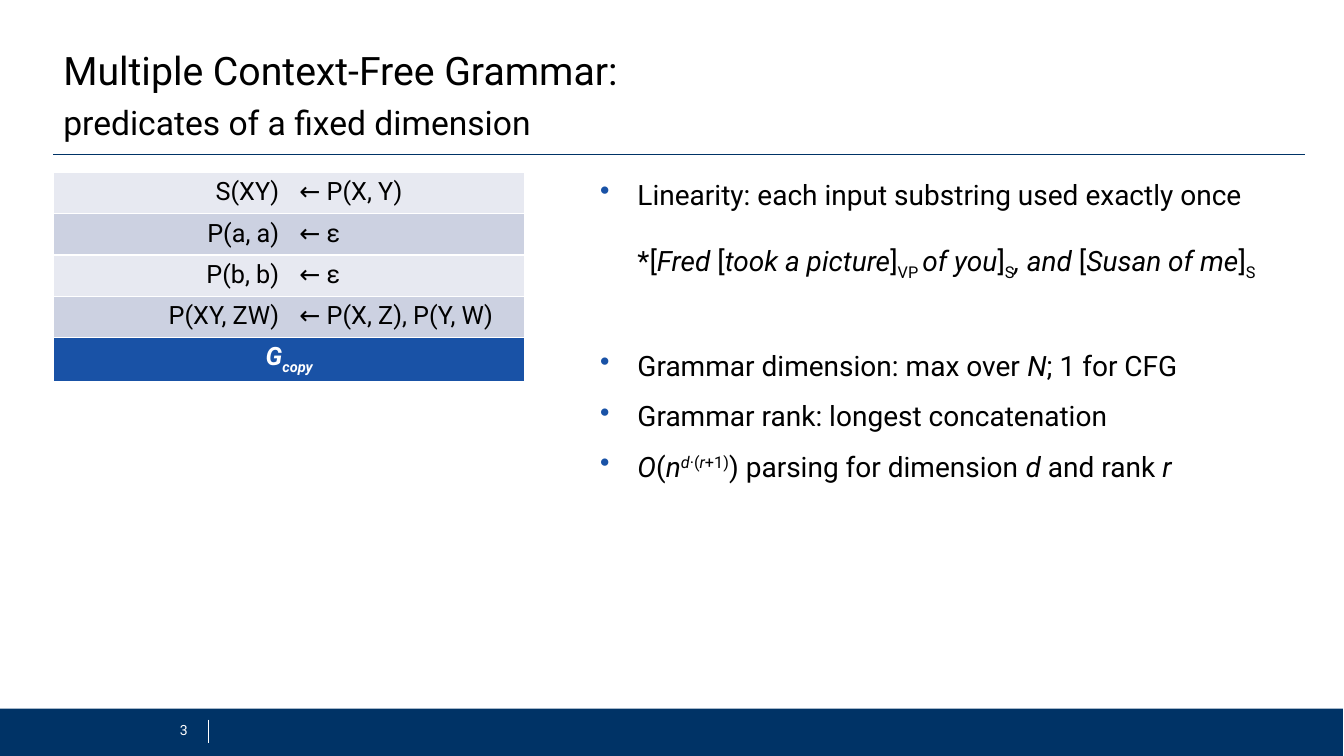
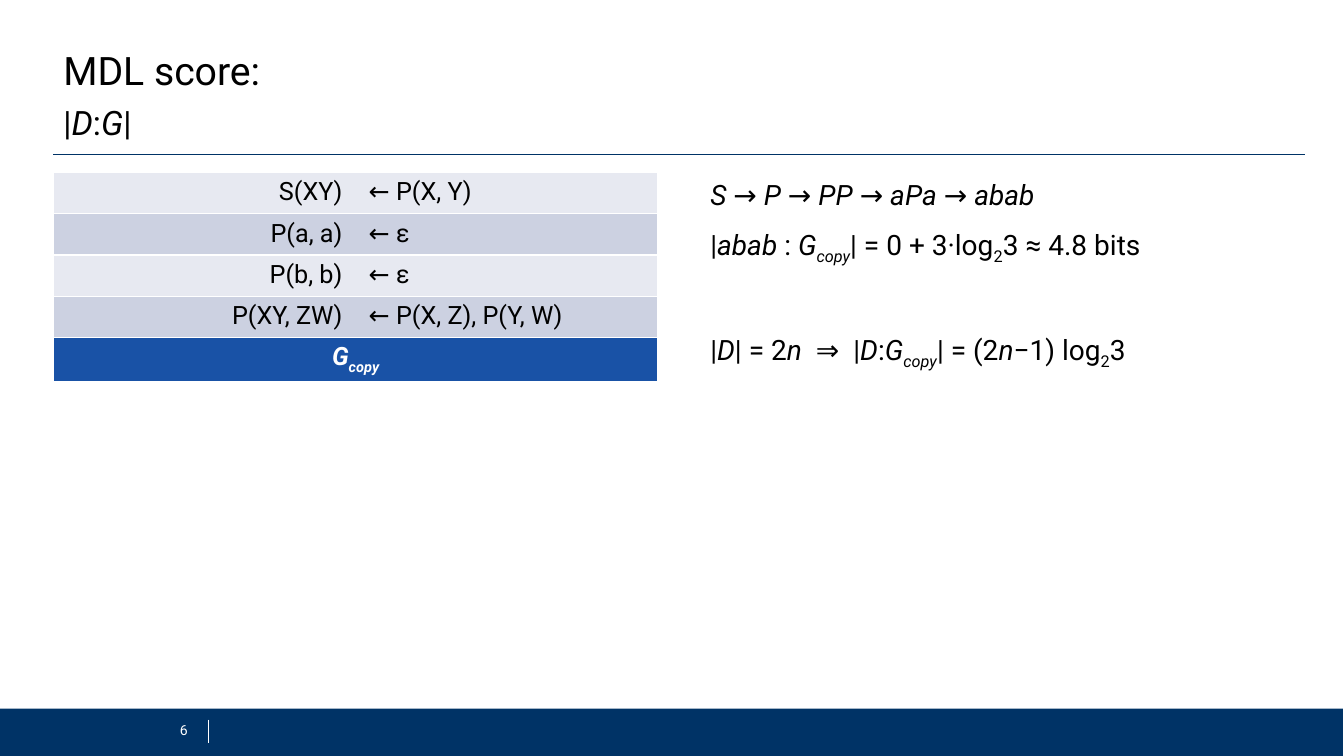
from lxml import etree
from pptx import Presentation
from pptx.dml.color import RGBColor
from pptx.enum.shapes import MSO_CONNECTOR, MSO_SHAPE
from pptx.enum.text import MSO_ANCHOR, PP_ALIGN
from pptx.oxml.ns import qn
from pptx.util import Inches, Pt

STRAIGHT = MSO_CONNECTOR.STRAIGHT
RECTANGLE = MSO_SHAPE.RECTANGLE
TOP, MIDDLE = MSO_ANCHOR.TOP, MSO_ANCHOR.MIDDLE
LEFT, CENTER, RIGHT = PP_ALIGN.LEFT, PP_ALIGN.CENTER, PP_ALIGN.RIGHT

FONT = "Roboto"
NAVY, BLUE, WHITE, BLACK = "003366", "1952A6", "FFFFFF", "000000"
BANDS = ["E7E9F1", "CCD1E1"]

SLIDE_WIDTH, SLIDE_HEIGHT = 13.33, 7.5
MARGIN, CONTENT_WIDTH = 0.53, 12.41
CONTENT_RIGHT = MARGIN + CONTENT_WIDTH
CONTENT_TOP, BODY_HEIGHT, ROW_HEIGHT = 1.71, 5.04, 0.41
FOOTER_TOP, FOOTER_HEIGHT = 7.03, 0.47
DIVIDER_X = 2.06
INDENT = 0.37
BODY_GAP, LINE_GAP, SECTION_GAP = 6, 17.4, 41.4

ITALIC, SUBSCRIPT, SUPERSCRIPT = "/", "~", "^"
BASELINES = {SUBSCRIPT: "-25000", SUPERSCRIPT: "30000"}

RULES = [
    ("S(XY)", "← P(X, Y)"),
    ("P(a, a)", "← ε"),
    ("P(b, b)", "← ε"),
    ("P(XY, ZW)", "← P(X, Z), P(Y, W)"),
]
GRAMMAR_NAME = "/G~copy~/"


def color(hex_string):
    """Turn a hex string into a colour."""
    return RGBColor.from_string(hex_string)


def add_styled_run(paragraph, text, marks):
    """Add one run in the style that the open marks ask for."""
    run = paragraph.add_run()
    run.text = text
    if ITALIC in marks:
        run.font.italic = True
    for mark, baseline in BASELINES.items():
        if mark in marks:
            run.font._element.set("baseline", baseline)


def write(paragraph, markup, size, hex_color=BLACK, align=LEFT, bold=False):
    """Write text in which /, ~ and ^ switch italic, subscript and superscript."""
    paragraph.alignment = align
    font = paragraph.font
    font.name, font.size, font.bold = FONT, Pt(size), bold
    font.color.rgb = color(hex_color)
    marks, text = set(), ""
    for character in markup:
        if character not in (ITALIC, SUBSCRIPT, SUPERSCRIPT):
            text += character
            continue
        if text:
            add_styled_run(paragraph, text, marks)
        marks ^= {character}
        text = ""
    if text:
        add_styled_run(paragraph, text, marks)


def add_text_box(slide, left, top, width, height, anchor=TOP):
    """Add a wrapping text box and return its text frame."""
    box = slide.shapes.add_textbox(*map(Inches, (left, top, width, height)))
    frame = box.text_frame
    frame.word_wrap = True
    frame.vertical_anchor = anchor
    return frame


def add_line(slide, start, end, hex_color, weight):
    """Draw a straight line without a shadow."""
    line = slide.shapes.add_connector(STRAIGHT, *map(Inches, start + end))
    line.line.color.rgb = color(hex_color)
    line.line.width = Pt(weight)
    etree.SubElement(line._element.spPr, qn("a:effectLst"))


def set_indent(paragraph, bullet):
    """Indent a paragraph, hanging a blue bullet in front if asked."""
    properties = paragraph._p.get_or_add_pPr()
    properties.set("marL", str(Inches(INDENT)))
    properties.set("indent", str(-Inches(INDENT) if bullet else 0))
    if bullet:
        bullet_color = etree.Element(qn("a:buClr"))
        etree.SubElement(bullet_color, qn("a:srgbClr"), val=BLUE)
        character = etree.Element(qn("a:buChar"), char="•")
        default_font = properties.find(qn("a:defRPr"))
        default_font.addprevious(bullet_color)
        default_font.addprevious(character)


def add_body(slide, share, lines, indented):
    """Add the right-hand text from (markup, space before, bullet) lines."""
    width = CONTENT_WIDTH * share / 100
    frame = add_text_box(slide, CONTENT_RIGHT - width, CONTENT_TOP, width, BODY_HEIGHT)
    for number, (markup, space_before, bullet) in enumerate(lines):
        paragraph = frame.add_paragraph() if number else frame.paragraphs[0]
        write(paragraph, markup, 20)
        paragraph.space_before = Pt(space_before)
        paragraph.space_after = Pt(BODY_GAP)
        if indented:
            set_indent(paragraph, bullet)


def set_borders(cell, hidden=()):
    """Give a cell white borders except on the hidden sides."""
    properties = cell._tc.get_or_add_tcPr()
    for position, side in enumerate("LRTB"):
        border = etree.Element(qn(f"a:ln{side}"), w=str(Pt(1)))
        if side in hidden:
            etree.SubElement(border, qn("a:noFill"))
        else:
            fill = etree.SubElement(border, qn("a:solidFill"))
            etree.SubElement(fill, qn("a:srgbClr"), val=WHITE)
        properties.insert(position, border)


def fill_cell(cell, markup, fill, inset, hidden="", **style):
    """Set the text, fill, side insets and borders of a cell."""
    cell.fill.solid()
    cell.fill.fore_color.rgb = color(fill)
    cell.margin_left = cell.margin_right = Inches(inset)
    write(cell.text_frame.paragraphs[0], markup, 18, **style)
    set_borders(cell, hidden)


def add_grammar_table(slide, share, inset):
    """Add the rewriting rules over a row that names the grammar."""
    row_count = len(RULES) + 1
    width = CONTENT_WIDTH * share / 100
    frame = slide.shapes.add_table(
        row_count, 2,
        *map(Inches, (MARGIN, CONTENT_TOP, width, ROW_HEIGHT * row_count)))
    table = frame.table
    for row, (head, body) in enumerate(RULES):
        band = BANDS[row % 2]
        fill_cell(table.cell(row, 0), head, band, inset, "R", align=RIGHT)
        fill_cell(table.cell(row, 1), body, band, inset, "L")
    name_cell = table.cell(row_count - 1, 0)
    name_cell.merge(table.cell(row_count - 1, 1))
    fill_cell(name_cell, GRAMMAR_NAME, BLUE, inset,
              hex_color=WHITE, align=CENTER, bold=True)


def add_footer(slide, number):
    """Add the navy band with the slide number and its divider."""
    band = slide.shapes.add_shape(
        RECTANGLE, *map(Inches, (0, FOOTER_TOP, SLIDE_WIDTH - 0.01, FOOTER_HEIGHT)))
    band.shadow.inherit = False
    band.fill.solid()
    band.fill.fore_color.rgb = color(NAVY)
    band.line.fill.background()
    add_line(slide, (DIVIDER_X, 7.14), (DIVIDER_X, 7.37), WHITE, 0.25)
    frame = add_text_box(slide, DIVIDER_X - 0.55, 7.04, 0.45, 0.4, MIDDLE)
    write(frame.paragraphs[0], str(number), 10, WHITE, RIGHT)


def add_slide(presentation, number, title, subtitle):
    """Add a slide with heading, rule and footer."""
    slide = presentation.slides.add_slide(presentation.slide_layouts[6])
    add_footer(slide, number)
    add_line(slide, (MARGIN, 1.53), (CONTENT_RIGHT, 1.53), NAVY, 1)
    headings = [(title, 28, 0.45, 0.55, MIDDLE), (subtitle, 24, 1.01, 0.39, TOP)]
    for markup, size, top, height, anchor in headings:
        frame = add_text_box(slide, MARGIN, top, CONTENT_WIDTH, height, anchor)
        paragraph = frame.paragraphs[0]
        write(paragraph, markup, size)
        paragraph.line_spacing = 0.9
    return slide


def main():
    """Build and save the presentation."""
    presentation = Presentation()
    presentation.slide_width = Inches(SLIDE_WIDTH)
    presentation.slide_height = Inches(SLIDE_HEIGHT)

    slide = add_slide(presentation, 3, "Multiple Context-Free Grammar:",
                      "predicates of a fixed dimension")
    add_grammar_table(slide, 37.7, 0.1)
    add_body(slide, 57.1, [
        ("Linearity: each input substring used exactly once", BODY_GAP, True),
        ("*[/Fred /[/took a picture/]~VP ~/of you/]~S~/, and /[/Susan of me/]~S~",
         LINE_GAP, False),
        ("Grammar dimension: max over /N/; 1 for CFG", SECTION_GAP, True),
        ("Grammar rank: longest concatenation", BODY_GAP, True),
        ("/O/(/n^d/·(/r/+1)^) parsing for dimension /d/ and rank /r/", BODY_GAP, True),
    ], indented=True)

    slide = add_slide(presentation, 6, "MDL score:", "|/D/:/G/|")
    add_grammar_table(slide, 48.3, 0.13)
    add_body(slide, 48.3, [
        ("/S/ → /P/ → /PP/ → /aPa/ → /abab/", BODY_GAP, False),
        ("|/abab/ : /G~copy~/| = 0 + 3·log~2~3 ≈ 4.8 bits", BODY_GAP, False),
        ("|/D/| = 2/n/  ⇒  |/D/:/G~copy~/| = (2/n/−1) log~2~3", SECTION_GAP, False),
    ], indented=False)

    presentation.save("out.pptx")


if __name__ == "__main__":
    main()
